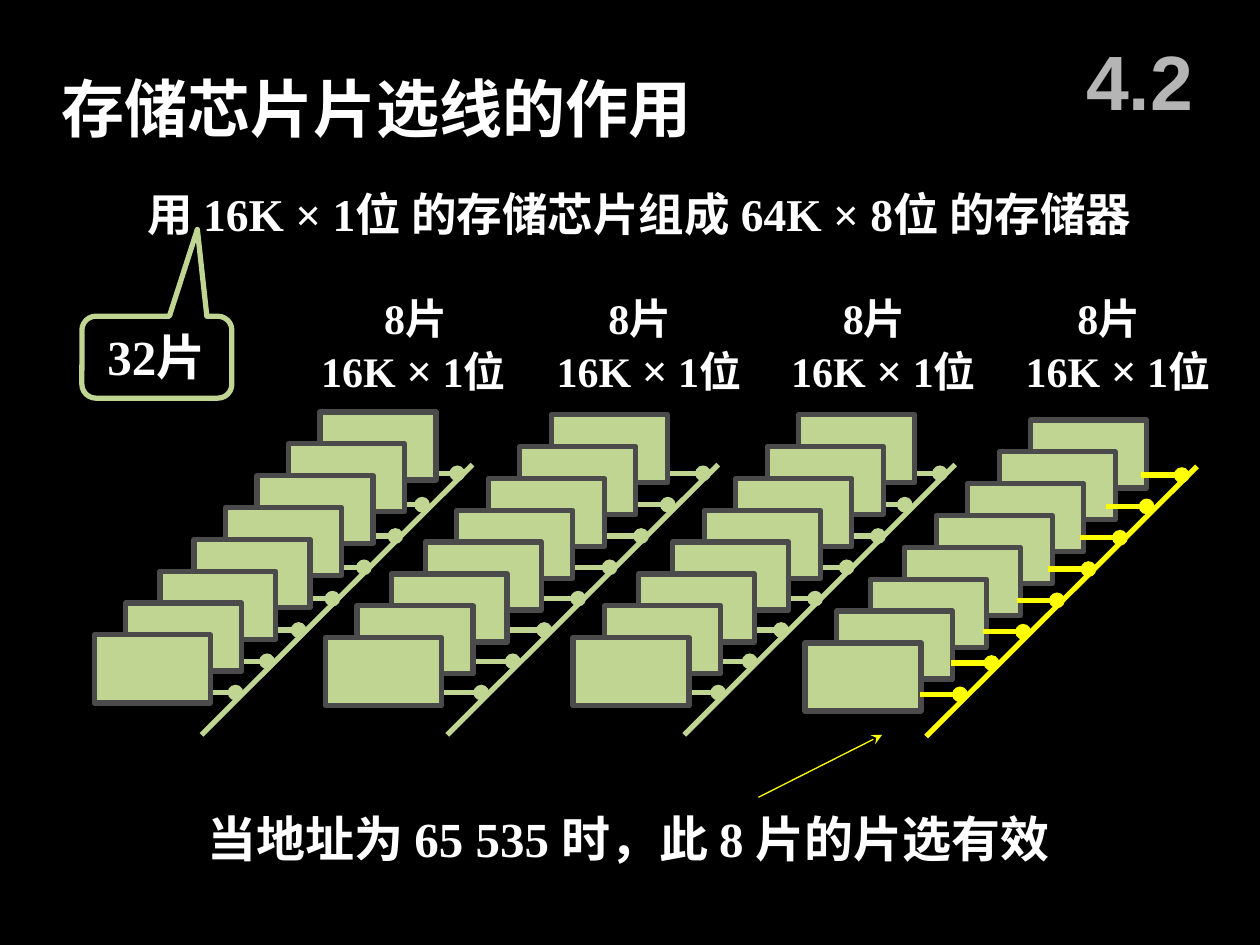
from lxml.etree import SubElement
from pptx import Presentation
from pptx.dml.color import RGBColor
from pptx.enum.shapes import MSO_CONNECTOR as Connector, MSO_SHAPE as Shape
from pptx.enum.text import MSO_ANCHOR as Anchor, MSO_AUTO_SIZE as AutoSize, PP_ALIGN as Align
from pptx.oxml.ns import qn
from pptx.util import Pt

BLACK = RGBColor(0x00, 0x00, 0x00)
WHITE = RGBColor(0xFF, 0xFF, 0xFF)
GREEN = RGBColor(0xC0, 0xD5, 0x91)
DARK_GRAY = RGBColor(0x4B, 0x4B, 0x4B)
LIGHT_GRAY = RGBColor(0xB5, 0xB5, 0xB5)
YELLOW = RGBColor(0xFF, 0xFF, 0x00)

CHIP_SIZE = (66.24, 38.9)
CHIP_OFFSETS = (0, 18, 36, 54, 72, 91.5, 111, 129)
CHIP_STEP = 18.2
CHIP_ORIGINS = ((182.9, 235.4), (315, 237), (456.5, 237), (589, 240))

BUS_SIZE = (154.8, 154.4)
STUB_OFFSETS = (31.7, 51.8, 67, 85, 103, 122.4, 140.4, 158.4)
STUB_STEP = 17.9
STUB_LENGTH = 23
BUS_ORIGINS = ((545.8, 265.5), (410.4, 265.5), (270, 265.5))
ACTIVE_BUS_ORIGIN = (684, 266.5)

LABELS = ((176.4, 159, 36), (311, 151, 29.5), (445, 145, 29.5), (579, 141, 29.5))


def write_text(frame, paragraphs, size=28, font="Times New Roman", color=WHITE,
               align=Align.LEFT, anchor=Anchor.TOP, wrap=True, indent=0):
    """Fill a frame with paragraphs, each a list of (text, size or None) runs."""
    frame.auto_size = AutoSize.NONE
    frame.word_wrap = wrap
    frame.vertical_anchor = anchor
    for number, runs in enumerate(paragraphs):
        paragraph = frame.add_paragraph() if number else frame.paragraphs[0]
        paragraph.alignment = align
        if indent and number == 0:
            properties = paragraph._p.get_or_add_pPr()
            properties.set("marL", str(Pt(indent)))
            properties.set("indent", "0")
        for text, run_size in runs:
            run = paragraph.add_run()
            run.text = text
            run.font.name = font
            run.font.size = Pt(run_size or size)
            run.font.bold = True
            run.font.color.rgb = color


def add_text(slide, box, paragraphs, **text_format):
    """Add a text box in the given box."""
    shape = slide.shapes.add_textbox(*map(Pt, box))
    write_text(shape.text_frame, paragraphs, **text_format)


def add_line(slide, start, end, color, width=3, tail=None):
    """Draw a straight line with an optional end mark."""
    line = slide.shapes.add_connector(Connector.STRAIGHT, *map(Pt, start + end))
    line.line.color.rgb = color
    line.line.width = Pt(width)
    if tail:
        SubElement(line.get_or_add_ln(), qn("a:tailEnd"), type=tail)
    SubElement(line._element.spPr, qn("a:effectLst"))


def add_title(slide, box, text):
    """Move and format the title placeholder."""
    title = slide.shapes.title
    title.left, title.top, title.width, title.height = map(Pt, box)
    write_text(title.text_frame, [[(text, 36)]], wrap=False)


def add_select_bus(slide, origin, color):
    """Draw a slanted select line with one stub for each chip."""
    right, top = origin
    width, height = BUS_SIZE
    add_line(slide, origin, (right - width, top + height), color)
    for row, offset in enumerate(STUB_OFFSETS):
        left, level = right - offset, top + 5 + row * STUB_STEP
        add_line(slide, (left, level), (left + STUB_LENGTH, level), color, tail="oval")


def add_chip_stack(slide, origin):
    """Draw a stack of eight chips from back to front."""
    left, top = origin
    for row, offset in enumerate(CHIP_OFFSETS):
        box = (left - offset, top + row * CHIP_STEP, *CHIP_SIZE)
        chip = slide.shapes.add_shape(Shape.RECTANGLE, *map(Pt, box))
        chip.shadow.inherit = False
        chip.fill.solid()
        chip.fill.fore_color.rgb = GREEN
        chip.line.color.rgb = DARK_GRAY
        chip.line.width = Pt(3)


def add_callout(slide, box, text):
    """Draw the outlined callout that gives the number of chips."""
    callout = slide.shapes.add_shape(Shape.ROUNDED_RECTANGULAR_CALLOUT, *map(Pt, box))
    for number, value in enumerate((0.27, -1.56, 0.17)):
        callout.adjustments[number] = value
    callout.shadow.inherit = False
    callout.fill.background()
    callout.line.color.rgb = GREEN
    callout.line.width = Pt(3)
    frame = callout.text_frame
    frame.margin_left, frame.margin_right = Pt(12.3), Pt(0)
    write_text(frame, [[(text, None)]])


def add_stack_label(slide, box, indent):
    """Label one stack with its chip count and chip size."""
    paragraphs = [[("8片", None)], [("16K ", None), ("×", 26), (" 1位", None)]]
    add_text(slide, box, paragraphs, size=24, indent=indent)


def add_note(slide, box, text):
    """Place the closing note and the arrow up to the active stack."""
    left, top = box[:2]
    add_text(slide, box, [[(text, None)]])
    add_line(slide, (left + 321.8, top - 3), (left + 392.4, top - 38.6), YELLOW, 0.75, "stealth")


def main():
    """Build the slide and save it."""
    presentation = Presentation()
    presentation.slide_width, presentation.slide_height = Pt(720), Pt(540)
    slide = presentation.slides.add_slide(presentation.slide_layouts[5])
    slide.background.fill.solid()
    slide.background.fill.fore_color.rgb = BLACK
    for origin in BUS_ORIGINS:
        add_select_bus(slide, origin, GREEN)
    add_title(slide, (28, 36, 376, 50.4), "存储芯片片选线的作用")
    add_text(slide, (77, 103, 612.7, 38.2),
             [[("用 16K × 1位 的存储芯片组成 64K × 8位 的存储器", 26)]])
    for origin in CHIP_ORIGINS:
        add_chip_stack(slide, origin)
    add_callout(slide, (46.8, 180.7, 85.7, 46.8), "32片")
    add_select_bus(slide, ACTIVE_BUS_ORIGIN, YELLOW)
    add_note(slide, (111.6, 458.6, 518.4, 41), "当地址为 65 535 时，此 8 片的片选有效")
    for left, width, indent in LABELS:
        add_stack_label(slide, (left, 163.4, width, 67), indent)
    add_text(slide, (606.2, 12.2, 90, 66.2), [[("4.2", 44)]], font="Arial",
             color=LIGHT_GRAY, align=Align.CENTER, anchor=Anchor.MIDDLE)
    presentation.save("out.pptx")


if __name__ == "__main__":
    main()
